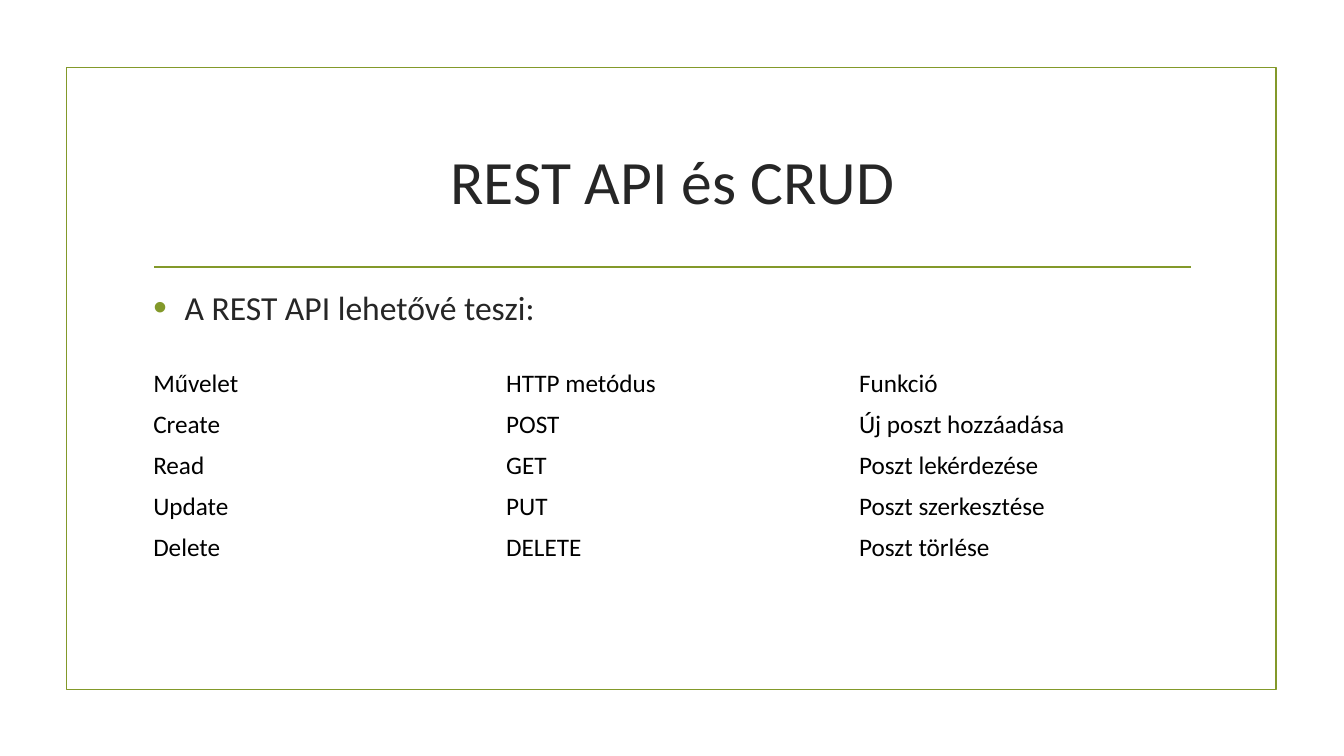
from dataclasses import dataclass

from lxml.etree import SubElement
from pptx import Presentation
from pptx.dml.color import RGBColor
from pptx.enum.shapes import MSO_CONNECTOR as Conn, MSO_SHAPE as Geo
from pptx.enum.text import MSO_ANCHOR as Anchor, MSO_AUTO_SIZE as Fit, PP_ALIGN as Align
from pptx.oxml.ns import qn
from pptx.util import Inches, Pt

GREEN, DARK, BLACK = "83992A", "262626", "000000"
FONT = "Calibri"
LEFT, COL_W, ROW_H = 1.42, 3.5, 0.4
TABLE_TOP = 3.61


@dataclass
class Operation:
    name: str
    method: str
    purpose: str

    def cells(self) -> tuple[str, str, str]:
        return self.name, self.method, self.purpose


OPERATIONS = [
    Operation("Művelet", "HTTP metódus", "Funkció"),
    Operation("Create", "POST", "Új poszt hozzáadása"),
    Operation("Read", "GET", "Poszt lekérdezése"),
    Operation("Update", "PUT", "Poszt szerkesztése"),
    Operation("Delete", "DELETE", "Poszt törlése"),
]


def rgb(color: str) -> RGBColor:
    return RGBColor.from_string(color)


def write(tf, text: str, *, size: float, color: str = DARK,
          align=Align.LEFT, anchor=None):
    if anchor is not None:
        tf.vertical_anchor = anchor
    p = tf.paragraphs[0]
    p.alignment = align
    r = p.add_run()
    r.text = text
    r.font.name = FONT
    r.font.size = Pt(size)
    r.font.color.rgb = rgb(color)
    return p


def place(sp, left: float, top: float, width: float, height: float) -> None:
    sp.left, sp.top = Inches(left), Inches(top)
    sp.width, sp.height = Inches(width), Inches(height)


def outline(line) -> None:
    line.color.rgb = rgb(GREEN)
    line.width = Pt(1.25)


def add_bullet(p) -> None:
    pPr = p._p.get_or_add_pPr()
    pPr.set("marL", str(Inches(0.31)))
    pPr.set("indent", str(Inches(-0.31)))
    SubElement(SubElement(pPr, qn("a:buClr")), qn("a:srgbClr"), val=GREEN)
    SubElement(pPr, qn("a:buSzPct"), val="115000")
    SubElement(pPr, qn("a:buFont"), typeface="Arial")
    SubElement(pPr, qn("a:buChar"), char="•")


def draw_frame(s) -> None:
    sp = s.shapes.add_shape(Geo.RECTANGLE, Inches(0.66), Inches(0.67), Inches(12), Inches(6.17))
    sp.shadow.inherit = False
    sp.fill.background()
    outline(sp.line)
    rule = s.shapes.add_connector(Conn.STRAIGHT, Inches(1.53), Inches(2.65), Inches(11.81), Inches(2.65))
    SubElement(rule._element.spPr, qn("a:effectLst"))
    outline(rule.line)


def draw_text(s) -> None:
    title, body = s.shapes.title, s.placeholders[1]
    place(title, LEFT, 1.07, 3 * COL_W, 1.43)
    place(body, LEFT, 2.8, 3 * COL_W, 3.63)
    for sp in (title, body):
        sp.text_frame.auto_size = Fit.NONE
    write(title.text_frame, "REST API és CRUD", size=44, align=Align.CENTER, anchor=Anchor.MIDDLE)
    p = write(body.text_frame, "A REST API lehetővé teszi:", size=24, anchor=Anchor.TOP)
    p.space_after = Pt(6)
    add_bullet(p)


def draw_table(s, operations: list[Operation]) -> None:
    rows, cols = len(operations), len(operations[0].cells())
    table = s.shapes.add_table(rows, cols, Inches(LEFT), Inches(TABLE_TOP),
                               Inches(cols * COL_W), Inches(rows * ROW_H)).table
    table.first_row = table.horz_banding = False
    for i, operation in enumerate(operations):
        for j, text in enumerate(operation.cells()):
            cell = table.cell(i, j)
            cell.fill.background()
            cell.vertical_anchor = Anchor.MIDDLE
            write(cell.text_frame, text, size=18, color=BLACK)


def main() -> None:
    prs = Presentation()
    prs.slide_width, prs.slide_height = Inches(13.33), Inches(7.5)
    s = prs.slides.add_slide(prs.slide_layouts[1])
    draw_frame(s)
    draw_text(s)
    draw_table(s, OPERATIONS)
    prs.save("out.pptx")


if __name__ == "__main__":
    main()
